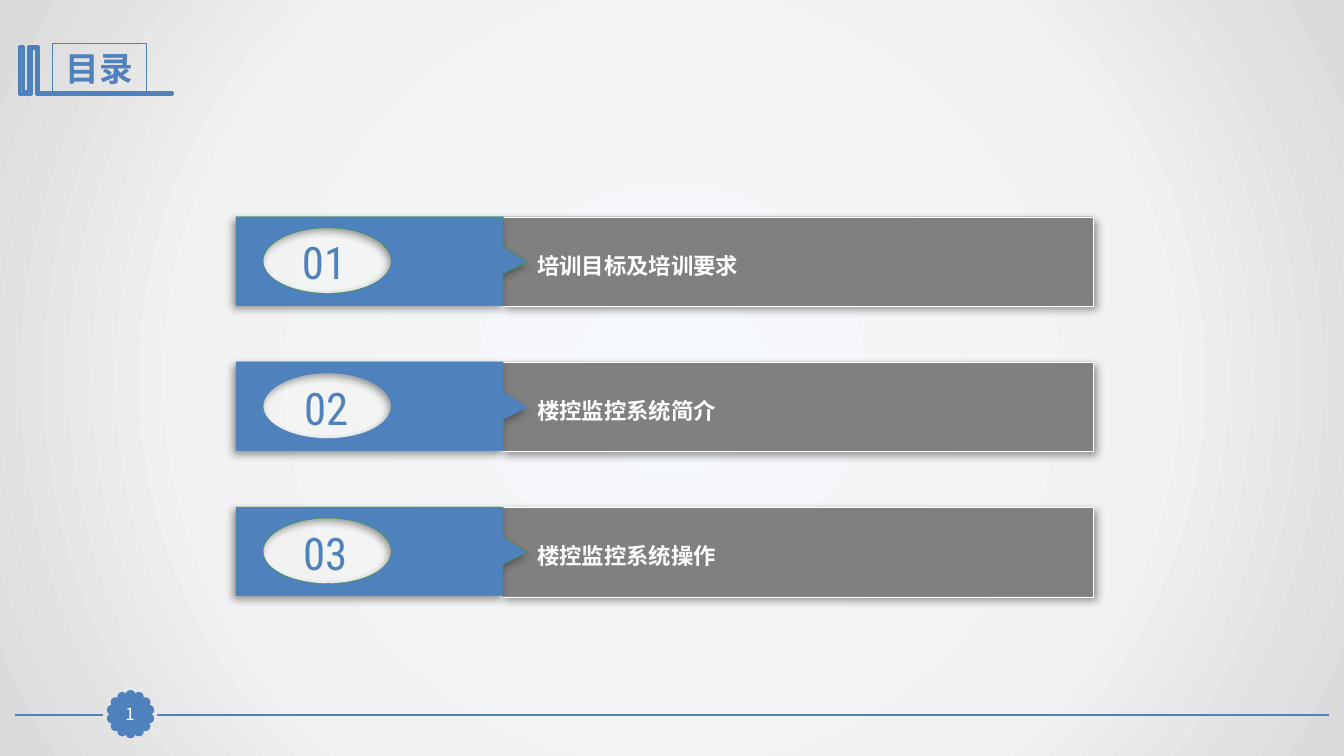
from math import cos, pi, sin

from lxml import etree
from pptx import Presentation
from pptx.dml.color import RGBColor
from pptx.enum.shapes import MSO_CONNECTOR, MSO_SHAPE
from pptx.enum.text import MSO_ANCHOR, MSO_AUTO_SIZE, PP_ALIGN
from pptx.oxml import parse_xml
from pptx.oxml.ns import nsdecls, qn
from pptx.util import Inches, Pt

RECT, OVAL = MSO_SHAPE.RECTANGLE, MSO_SHAPE.OVAL
STRAIGHT = MSO_CONNECTOR.STRAIGHT
MIDDLE, TOP = MSO_ANCHOR.MIDDLE, MSO_ANCHOR.TOP
CENTER, LEFT = PP_ALIGN.CENTER, PP_ALIGN.LEFT
GROW, FIXED = MSO_AUTO_SIZE.SHAPE_TO_FIT_TEXT, MSO_AUTO_SIZE.NONE

COLORS = {
    "blue": "4F81BD", "cyan": "28A9D6", "gray": "808080", "green": "339933",
    "white": "FFFFFF", "black": "000000",
    "glow": "F6F9FC", "paper": "F2F2F2", "edge": "D9D9D9",
}


def paint(shape, fill, line, width, shadow_angle=None):
    if fill:
        shape.fill.solid()
        shape.fill.fore_color.rgb = RGBColor.from_string(COLORS[fill])
    else:
        shape.fill.background()
    shape.line.color.rgb = RGBColor.from_string(COLORS[line])
    shape.line.width = Pt(width)
    shape.shadow.inherit = False
    if shadow_angle is not None:
        shape._element.spPr.find(qn("a:effectLst")).append(parse_xml(
            f'<a:outerShdw {nsdecls("a")} blurRad="{Pt(6)}" dist="{Pt(3)}" '
            f'dir="{shadow_angle * 60000}" algn="ctr" rotWithShape="0">'
            f'<a:srgbClr val="{COLORS["black"]}"><a:alpha val="40000"/></a:srgbClr>'
            '</a:outerShdw>'))


def write(shape, text, color, font_format, frame_format, align=CENTER):
    frame = shape.text_frame
    for name, value in frame_format.items():
        setattr(frame, name, value)
    paragraph = frame.paragraphs[0]
    paragraph.alignment = align
    run = paragraph.add_run()
    run.text = text
    for name, value in font_format.items():
        setattr(run.font, name, value)
    run.font.color.rgb = RGBColor.from_string(COLORS[color])


presentation = Presentation()
presentation.slide_width = Inches(13.33)
presentation.slide_height = Inches(7.5)
slide = presentation.slides.add_slide(presentation.slide_layouts[6])
shapes = slide.shapes

stops = "".join(
    f'<a:gs pos="{position * 1000}"><a:srgbClr val="{COLORS[color]}"/></a:gs>'
    for position, color in ((0, "glow"), (63, "paper"), (100, "edge")))
slide._element.cSld.insert(0, parse_xml(
    f'<p:bg {nsdecls("p", "a")}><p:bgPr><a:gradFill rotWithShape="1">'
    f'<a:gsLst>{stops}</a:gsLst><a:path path="circle">'
    '<a:fillToRect l="50000" t="50000" r="50000" b="50000"/></a:path>'
    '</a:gradFill><a:effectLst/></p:bgPr></p:bg>'))

for start, end in ((13.18, 1.56), (1.02, 0.15)):
    footer_rule = shapes.add_connector(
        STRAIGHT, Inches(start), Inches(7.09), Inches(end), Inches(7.09))
    footer_rule.line.color.rgb = RGBColor.from_string(COLORS["blue"])
    footer_rule.line.width = Pt(1.25)
    footer_rule._element.spPr.append(parse_xml(f'<a:effectLst {nsdecls("a")}/>'))

SCALLOPS = 14
badge = shapes.add_group_shape()
for index in range(SCALLOPS):
    angle = 2 * pi * index / SCALLOPS
    scallop = badge.shapes.add_shape(
        OVAL, Inches(1.26 + 0.19 * sin(angle)), Inches(7.05 - 0.19 * cos(angle)),
        Inches(0.07), Inches(0.07))
    paint(scallop, "blue", "blue", 2)

book_points = [
    (0.37, 0.46), (0.38, 0.46), (0.38, 0.92), (1.71, 0.92), (1.71, 0.94),
    (0.37, 0.94), (0.36, 0.94), (0.36, 0.48), (0.31, 0.48), (0.31, 0.94),
    (0.19, 0.94), (0.19, 0.46), (0.23, 0.46), (0.23, 0.91), (0.28, 0.91),
    (0.28, 0.46)]
book_outline = [(Inches(x), Inches(y)) for x, y in book_points]
book_builder = shapes.build_freeform(*book_outline[0])
book_builder.add_line_segments(book_outline[1:], close=True)
paint(book_builder.convert_to_shape(), "cyan", "blue", 2)

heading = shapes.add_shape(RECT, Inches(0.52), Inches(0.43), Inches(0.93), Inches(0.5))
paint(heading, None, "blue", 0.75)
write(heading, "目录", "blue",
      {"size": Pt(24), "name": "Roboto Condensed", "bold": True},
      {"word_wrap": True, "vertical_anchor": MIDDLE, "auto_size": GROW})

page_number = shapes.add_shape(RECT, Inches(1.13), Inches(6.93), Inches(0.32), Inches(0.31))
paint(page_number, "blue", "blue", 0.75)
write(page_number, "1", "white", {"size": Pt(12), "name": "Noto Sans CJK SC"},
      {"word_wrap": True, "vertical_anchor": MIDDLE, "auto_size": FIXED,
       "margin_left": 0, "margin_right": 0, "margin_top": 0, "margin_bottom": 0})

FIRST_TOP, ROW_STEP = 2.15, 1.44
window_points = [
    (3.25, 0.11),
    (2.9, 0.11), (2.61, 0.26), (2.61, 0.44),
    (2.61, 0.62), (2.9, 0.76), (3.25, 0.76),
    (3.6, 0.76), (3.88, 0.62), (3.88, 0.44),
    (3.88, 0.26), (3.6, 0.11), (3.25, 0.11)]
tag_points = [(2.34, 0), (4.99, 0), (4.99, 0.3), (5.23, 0.45),
              (4.99, 0.57), (4.99, 0.88), (2.34, 0.88)]
topics = [
    ("01", "培训目标及培训要求", "green", 2.75, 0.93),
    ("02", "楼控监控系统简介", "blue", 2.73, 1.01),
    ("03", "楼控监控系统操作", "green", 2.72, 1.01),
]

for row, (number, topic, tag_line, number_left, number_width) in enumerate(topics):
    top = FIRST_TOP + row * ROW_STEP
    entry = shapes.add_group_shape().shapes

    bar = entry.add_shape(RECT, Inches(4.97), Inches(top), Inches(5.87), Inches(0.89))
    paint(bar, "gray", "white", 0.25, 45)

    window, tag_outline = ([(Inches(x), Inches(top + y)) for x, y in points]
                           for points in (window_points, tag_points))
    tag_builder = entry.build_freeform(*window[0])
    tag_builder.add_line_segments(window[1:], close=True)
    tag_builder.move_to(*tag_outline[0])
    tag_builder.add_line_segments(tag_outline[1:], close=True)
    tag = tag_builder.convert_to_shape()
    window_segments = list(tag._element.iter(qn("a:lnTo")))[:len(window) - 1]
    for first in range(0, len(window_segments), 3):
        curve = etree.Element(qn("a:cubicBezTo"))
        window_segments[first].addprevious(curve)
        for segment in window_segments[first:first + 3]:
            curve.append(segment[0])
            segment.getparent().remove(segment)
    paint(tag, "blue", tag_line, 0.25, 135)

    number_box = entry.add_textbox(
        Inches(number_left), Inches(top + 0.13), Inches(number_width), Inches(0.64))
    write(number_box, number, "blue", {"size": Pt(32), "name": "Roboto Condensed"},
          {"word_wrap": True, "vertical_anchor": MIDDLE, "auto_size": GROW})

    topic_box = entry.add_textbox(
        Inches(5.23), Inches(top + 0.3), Inches(5.61), Inches(0.37))
    write(topic_box, topic, "white", {"size": Pt(16), "name": "Roboto", "bold": True},
          {"word_wrap": True, "vertical_anchor": TOP, "auto_size": GROW}, LEFT)

presentation.save("out.pptx")
